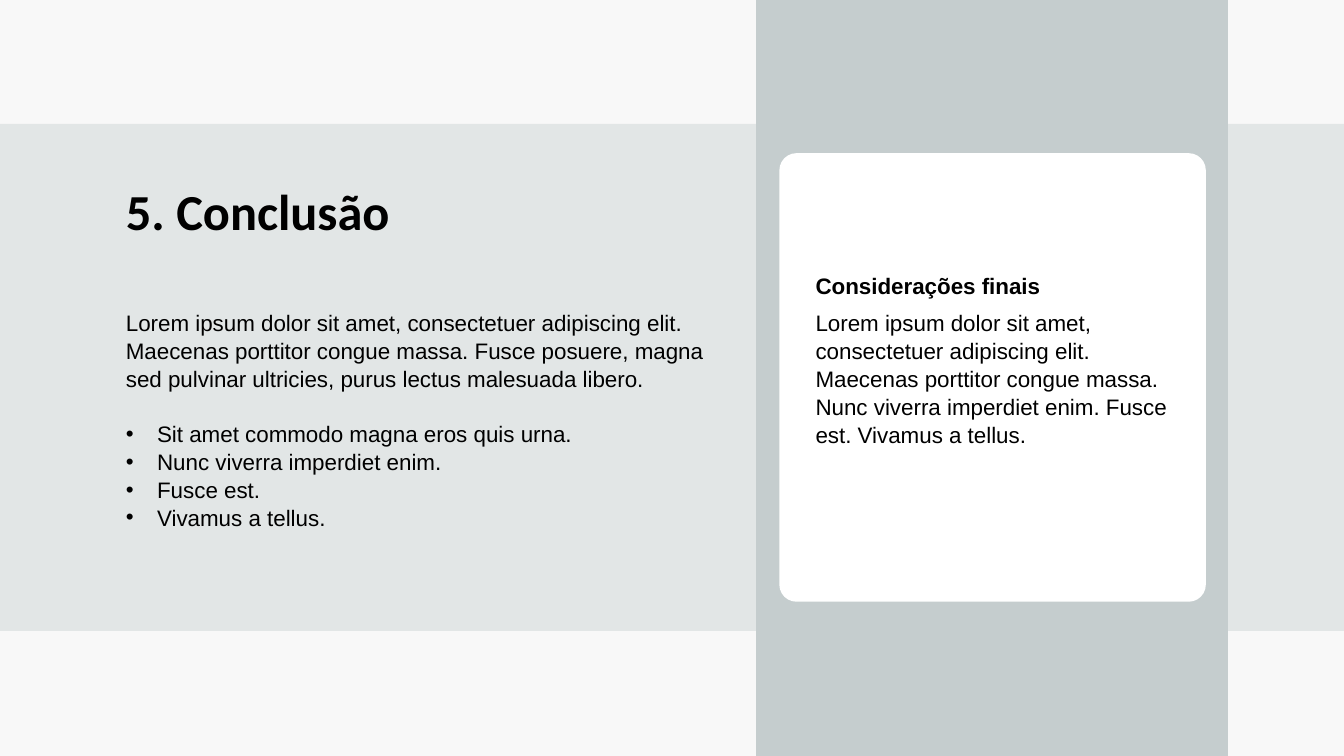
from dataclasses import dataclass

from lxml.etree import SubElement
from pptx import Presentation
from pptx.dml.color import RGBColor
from pptx.enum.shapes import MSO_SHAPE
from pptx.enum.text import MSO_ANCHOR
from pptx.oxml.ns import qn
from pptx.slide import Slide
from pptx.util import Inches, Pt

PAGE_WIDTH = Inches(13.33)
PAGE_HEIGHT = Inches(7.5)


@dataclass(frozen=True)
class Theme:
    background: str = "F8F8F8"
    band: str = "E2E6E6"
    column: str = "C5CDCE"
    card: str = "FFFFFF"
    ink: str = "000000"
    title_font: str = "Calibri"
    body_font: str = "Arial"
    title_size: int = 36
    body_size: int = 16
    title_spacing: float = 0.9
    body_spacing: float = 1.04
    bullet_gap: float = 19.2


THEME = Theme()


@dataclass(frozen=True)
class Area:
    """A rectangle in percent of the slide's width and height."""

    left: float
    top: float
    width: float
    height: float

    def lengths(self) -> tuple[int, int, int, int]:
        return (
            round(PAGE_WIDTH * self.left / 100),
            round(PAGE_HEIGHT * self.top / 100),
            round(PAGE_WIDTH * self.width / 100),
            round(PAGE_HEIGHT * self.height / 100),
        )


@dataclass(frozen=True)
class Panel:
    area: Area
    color: str
    corner: float = 0


@dataclass(frozen=True)
class TextBlock:
    area: Area
    lines: tuple[str, ...]
    bullets: tuple[str, ...] = ()
    font: str = THEME.body_font
    size: int = THEME.body_size
    spacing: float = THEME.body_spacing
    bold: bool = False
    anchor: MSO_ANCHOR = MSO_ANCHOR.TOP


TEXT_LEFT, CARD_TEXT_LEFT, CARD_TEXT_WIDTH = 8.63, 59.94, 27.76
BODY_TOP, HEADING_HEIGHT = 40.13, 4.93

PANELS = (
    Panel(Area(0, 16.4, 100, 67.07), THEME.band),
    Panel(Area(56.26, 0, 35.11, 100), THEME.column),
    Panel(Area(57.99, 20.27, 31.73, 59.33), THEME.card, corner=0.04),
)

TEXTS = (
    TextBlock(
        Area(TEXT_LEFT, 21.73, 82.67, 13.2),
        ("5. Conclusão",),
        font=THEME.title_font,
        size=THEME.title_size,
        spacing=THEME.title_spacing,
        bold=True,
        anchor=MSO_ANCHOR.MIDDLE,
    ),
    TextBlock(
        Area(TEXT_LEFT, BODY_TOP, 45, 30.13),
        (
            "Lorem ipsum dolor sit amet, consectetuer adipiscing elit. "
            "Maecenas porttitor congue massa. Fusce posuere, magna sed "
            "pulvinar ultricies, purus lectus malesuada libero.",
        ),
        bullets=(
            "Sit amet commodo magna eros quis urna.",
            "Nunc viverra imperdiet enim.",
            "Fusce est.",
            "Vivamus a tellus.",
        ),
    ),
    TextBlock(
        Area(CARD_TEXT_LEFT, BODY_TOP, CARD_TEXT_WIDTH, 19.33),
        (
            "Lorem ipsum dolor sit amet, consectetuer adipiscing elit. "
            "Maecenas porttitor congue massa. Nunc viverra imperdiet enim. "
            "Fusce est. Vivamus a tellus.",
        ),
    ),
    TextBlock(
        Area(CARD_TEXT_LEFT, BODY_TOP - HEADING_HEIGHT, CARD_TEXT_WIDTH, HEADING_HEIGHT),
        ("Considerações finais",),
        bold=True,
    ),
)


def draw_panel(page: Slide, panel: Panel) -> None:
    kind = MSO_SHAPE.ROUNDED_RECTANGLE if panel.corner else MSO_SHAPE.RECTANGLE
    box = page.shapes.add_shape(kind, *panel.area.lengths())
    if panel.corner:
        box.adjustments[0] = panel.corner
    box.shadow.inherit = False
    box.fill.solid()
    box.fill.fore_color.rgb = RGBColor.from_string(panel.color)
    box.line.fill.background()


def add_bullet(para) -> None:
    indent = Inches(0.31)
    properties = para._p.get_or_add_pPr()
    properties.set("marL", str(indent))
    properties.set("indent", str(-indent))
    SubElement(properties, qn("a:buFont"), typeface=THEME.body_font)
    SubElement(properties, qn("a:buChar"), char="•")


def draw_text(page: Slide, block: TextBlock) -> None:
    frame = page.shapes.add_textbox(*block.area.lengths()).text_frame
    frame.word_wrap = True
    frame.vertical_anchor = block.anchor
    first_bullet = len(block.lines)
    for index, line in enumerate(block.lines + block.bullets):
        para = frame.add_paragraph() if index else frame.paragraphs[0]
        para.text = line
        para.line_spacing = block.spacing
        para.font.name = block.font
        para.font.size = Pt(block.size)
        para.font.bold = block.bold
        para.font.color.rgb = RGBColor.from_string(THEME.ink)
        if index == first_bullet:
            para.space_before = Pt(THEME.bullet_gap)
        if index >= first_bullet:
            add_bullet(para)


def main() -> None:
    deck = Presentation()
    deck.slide_width, deck.slide_height = PAGE_WIDTH, PAGE_HEIGHT
    page = deck.slides.add_slide(deck.slide_layouts[6])
    page.background.fill.solid()
    page.background.fill.fore_color.rgb = RGBColor.from_string(THEME.background)
    for panel in PANELS:
        draw_panel(page, panel)
    for block in TEXTS:
        draw_text(page, block)
    deck.save("out.pptx")


if __name__ == "__main__":
    main()
